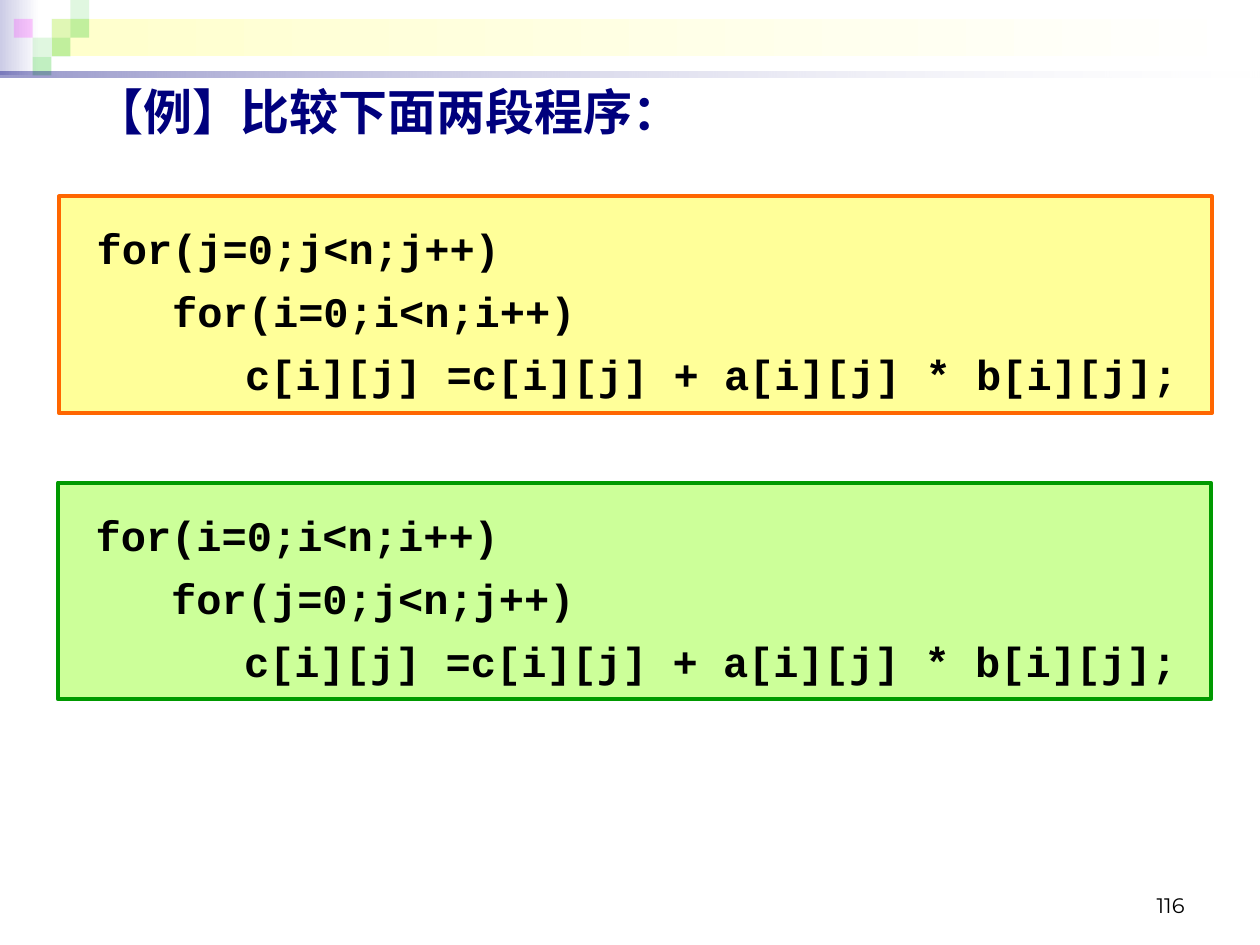
from dataclasses import dataclass

from lxml.etree import SubElement
from pptx import Presentation
from pptx.dml.color import RGBColor
from pptx.enum.shapes import MSO_SHAPE as Preset
from pptx.enum.text import MSO_ANCHOR as Anchor, PP_ALIGN as Align
from pptx.oxml.ns import qn
from pptx.util import Cm, Pt

WHITE = RGBColor(0xFF, 0xFF, 0xFF)
BLACK = RGBColor(0x00, 0x00, 0x00)
NAVY = RGBColor(0x00, 0x00, 0x7D)
LAVENDER = RGBColor(0xCC, 0xCC, 0xE6)
CREAM = RGBColor(0xFF, 0xFF, 0xCC)
GREEN = RGBColor(0x33, 0xCC, 0x33)
MAGENTA = RGBColor(0xFF, 0x00, 0xFF)
YELLOW = RGBColor(0xFF, 0xFF, 0x99)
ORANGE = RGBColor(0xFF, 0x66, 0x00)
LIME = RGBColor(0xCC, 0xFF, 0x99)
DARK_GREEN = RGBColor(0x00, 0x99, 0x00)

TILE = 0.38
TILE_LEFT = 0.28
HANGING = Cm(0.96)
INNER_STATEMENT = "\t     c[i][j] =c[i][j] + a[i][j] * b[i][j];"


@dataclass
class Area:
    """A rectangle in centimetres."""
    left: float
    top: float
    width: float
    height: float

    def lengths(self):
        return Cm(self.left), Cm(self.top), Cm(self.width), Cm(self.height)


@dataclass
class Band:
    """A strip that fades from a colour to white."""
    area: Area
    color: RGBColor
    start_opacity: int = 100
    end_opacity: int = 100


@dataclass
class Tile:
    column: int
    row: int
    color: RGBColor
    opacity: int


@dataclass
class CodePanel:
    area: Area
    fill: RGBColor
    border: RGBColor
    outer: str
    inner: str


BANDS = [
    Band(Area(0, 0, 0.79, 1.52), LAVENDER),
    Band(Area(1.04, 0.38, 24.26, 0.76), CREAM),
    Band(Area(0, 1.44, 25.4, 0.13), NAVY, 40, 10),
]
TILES = [
    Tile(2, 1, GREEN, 15),
    Tile(3, 0, GREEN, 15),
    Tile(3, 1, GREEN, 30),
    Tile(1, 2, GREEN, 15),
    Tile(0, 1, MAGENTA, 20),
    Tile(2, 2, GREEN, 30),
    Tile(1, 3, GREEN, 30),
]
PANELS = [
    CodePanel(Area(1.19, 3.96, 23.24, 4.37), YELLOW, ORANGE, "j", "i"),
    CodePanel(Area(1.17, 9.73, 23.24, 4.37), LIME, DARK_GREEN, "i", "j"),
]


def add_rectangle(slide, area: Area):
    shape = slide.shapes.add_shape(Preset.RECTANGLE, *area.lengths())
    shape.shadow.inherit = False
    shape.line.fill.background()
    return shape


def set_opacity(shape, *percents: int) -> None:
    """Give each fill colour of the shape its opacity, in order."""
    colors = shape.fill._xPr.iter(qn("a:srgbClr"))
    for color, percent in zip(list(colors), percents):
        if percent < 100:
            SubElement(color, qn("a:alpha")).set("val", str(percent * 1000))


def draw_band(slide, band: Band) -> None:
    shape = add_rectangle(slide, band.area)
    shape.fill.gradient()
    shape.fill.gradient_angle = 0
    for stop, color, position in zip(shape.fill.gradient_stops, (band.color, WHITE), (0, 1)):
        stop.color.rgb = color
        stop.position = position
    set_opacity(shape, band.start_opacity, band.end_opacity)


def draw_tile(slide, tile: Tile) -> None:
    area = Area(TILE_LEFT + tile.column * TILE, tile.row * TILE, TILE, TILE)
    shape = add_rectangle(slide, area)
    shape.fill.solid()
    shape.fill.fore_color.rgb = tile.color
    set_opacity(shape, tile.opacity)


def write(box, text: str, font: str, size: int, color: RGBColor, bold: bool = False,
          align: Align = Align.LEFT, anchor: Anchor = Anchor.MIDDLE) -> None:
    frame = box.text_frame
    frame.word_wrap = True
    frame.vertical_anchor = anchor
    frame.text = text
    for para in frame.paragraphs:
        para.alignment = align
        for span in para.runs:
            span.font.name = font
            span.font.size = Pt(size)
            span.font.bold = bold
            span.font.color.rgb = color


def draw_panel(slide, panel: CodePanel) -> None:
    box = add_rectangle(slide, panel.area)
    box.fill.solid()
    box.fill.fore_color.rgb = panel.fill
    box.line.color.rgb = panel.border
    box.line.width = Pt(2.25)
    loops = [f"{indent}for({name}=0;{name}<n;{name}++)"
             for indent, name in ((" ", panel.outer), ("    ", panel.inner))]
    write(box, "\n".join([*loops, INNER_STATEMENT]), "Courier New", 24, BLACK, bold=True)
    for para in box.text_frame.paragraphs:
        para.line_spacing = 1.25
        properties = para._p.get_or_add_pPr()
        properties.set("marL", str(HANGING))
        properties.set("indent", str(-HANGING))


def main() -> None:
    deck = Presentation()
    deck.slide_width, deck.slide_height = Cm(25.4), Cm(19.05)
    page = deck.slides.add_slide(deck.slide_layouts[6])

    *backdrops, rule = BANDS
    for band in backdrops:
        draw_band(page, band)
    for tile in TILES:
        draw_tile(page, tile)
    draw_band(page, rule)

    number = page.shapes.add_textbox(*Area(18.21, 17.35, 5.92, 1.27).lengths())
    write(number, "116", "Montserrat", 12, BLACK, align=Align.RIGHT, anchor=Anchor.BOTTOM)
    title = page.shapes.add_textbox(*Area(1.65, 1.52, 22.86, 1.45).lengths())
    write(title, "【例】比较下面两段程序：", "Arial", 28, NAVY, bold=True)

    for panel in PANELS:
        draw_panel(page, panel)
    deck.save("out.pptx")


if __name__ == "__main__":
    main()
